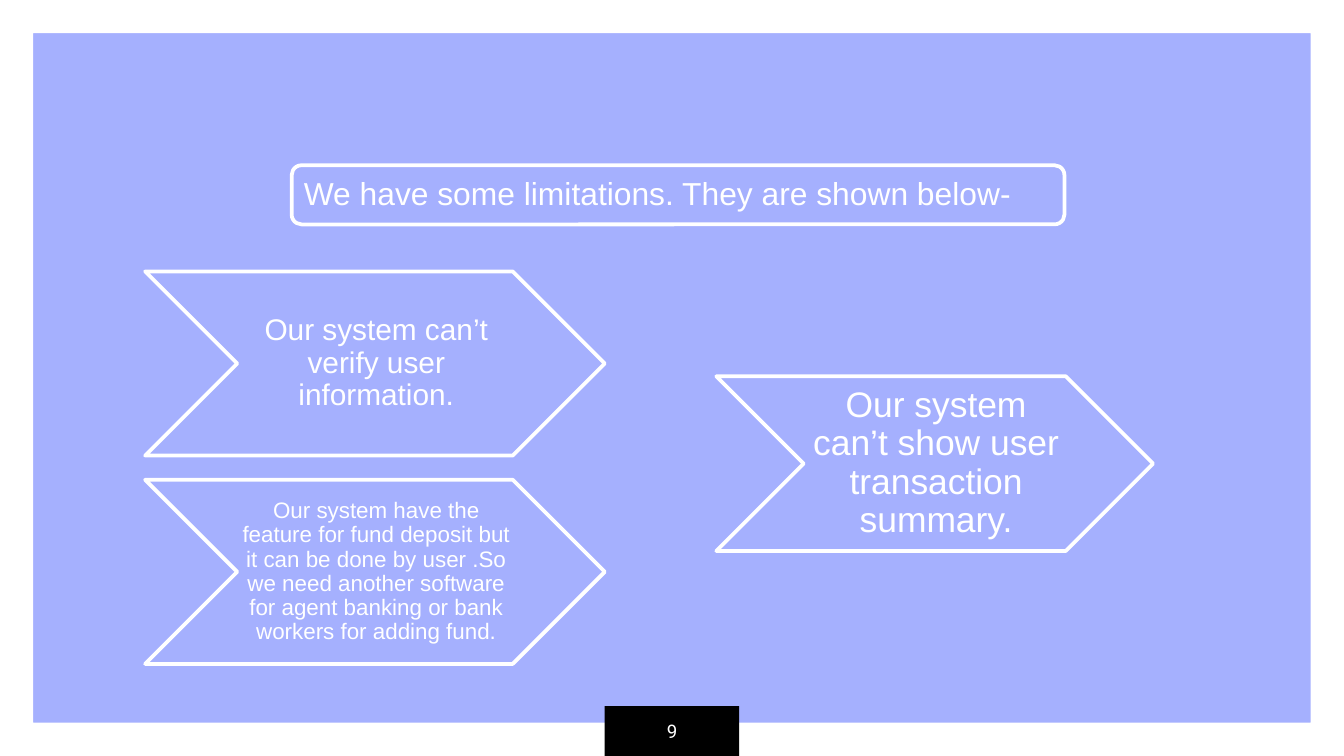
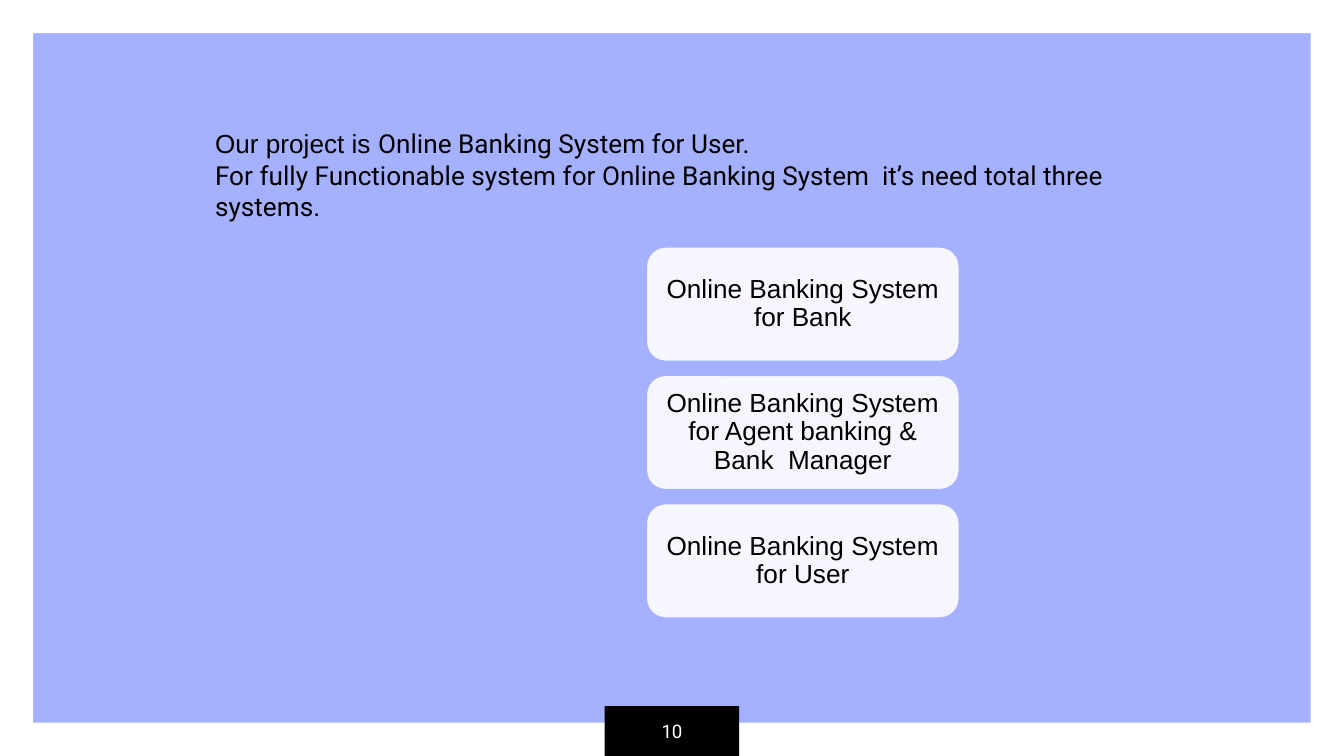
from lxml import etree
from pptx import Presentation
from pptx.dml.color import RGBColor
from pptx.enum import shapes, text
from pptx.oxml import ns
from pptx.util import Inches, Pt

WIDTH = 10
HEIGHT = WIDTH * 9 / 16
LAVENDER, WHITE, BLACK = "A5B0FE", "FFFFFF", "000000"
SANS, ROBOTO = "Arial", "Roboto"
SHAPE = shapes.MSO_SHAPE
LEFT, CENTER = text.PP_ALIGN.LEFT, text.PP_ALIGN.CENTER
TOP, MIDDLE = text.MSO_ANCHOR.TOP, text.MSO_ANCHOR.MIDDLE


def rgb(color):
    return RGBColor.from_string(color)


# Shared helpers
def add_block(s, kind, box, fill, line=None, weight=2, alpha=None):
    sp = s.shapes.add_shape(kind, *map(Inches, box))
    sp.shadow.inherit = False
    sp.fill.solid()
    sp.fill.fore_color.rgb = rgb(fill)
    if alpha is not None:
        color = sp.element.spPr.find(ns.qn("a:solidFill"))[0]
        etree.SubElement(color, ns.qn("a:alpha"), val=str(alpha * 1000))
    if line:
        sp.line.color.rgb = rgb(line)
        sp.line.width = Pt(weight)
    else:
        sp.line.fill.background()
    return sp


def write(sp, paragraphs, size, color, align=CENTER, anchor=MIDDLE,
          insets=(0.1, 0.05, 0.1, 0.05), spacing=0.9):
    """Fill a shape; each paragraph is a list of (text, font) runs."""
    tf = sp.text_frame
    tf.word_wrap = True
    tf.auto_size = text.MSO_AUTO_SIZE.NONE
    tf.vertical_anchor = anchor
    (tf.margin_left, tf.margin_top,
     tf.margin_right, tf.margin_bottom) = map(Inches, insets)
    for i, runs in enumerate(paragraphs):
        p = tf.add_paragraph() if i else tf.paragraphs[0]
        p.alignment = align
        p.line_spacing = spacing
        for words, font in runs:
            r = p.add_run()
            r.text = words
            r.font.name = font
            r.font.size = Pt(size)
            r.font.color.rgb = rgb(color)


def place_title(s, box):
    """Move the title to the box and bring it in front of the shapes."""
    sp = s.shapes.title
    sp.left, sp.top, sp.width, sp.height = map(Inches, box)
    sp.element.getparent().append(sp.element)
    return sp


def add_slide(prs, number):
    s = prs.slides.add_slide(prs.slide_layouts.get_by_name("Title Only"))
    frame = add_block(s, SHAPE.FRAME, (0, 0, WIDTH, HEIGHT), WHITE)
    frame.adjustments[0] = 0.044
    tab_w, tab_h = 1, 0.37
    tab = add_block(s, SHAPE.RECTANGLE,
                    ((WIDTH - tab_w) / 2, HEIGHT - tab_h, tab_w, tab_h), BLACK)
    write(tab, [[(str(number), ROBOTO)]], 10, WHITE,
          insets=(0.1,) * 4, spacing=1)
    return s


# Limitations slide
def add_banner(s, box, words):
    x, y, w, h = box
    add_block(s, SHAPE.ROUNDED_RECTANGLE, box, LAVENDER, WHITE)
    pad = 0.02
    title = place_title(s, (x + pad, y + pad, w - 2 * pad, h - 2 * pad))
    write(title, [[(words, SANS)]], 17, WHITE, LEFT, insets=(0.07,) * 4)


def add_chevrons(s, box, gap, items):
    """Stack chevrons of equal height in the box."""
    x, y, w, h = box
    item_h = (h - gap * (len(items) - 1)) / len(items)
    for i, (words, size) in enumerate(items):
        sp = add_block(s, SHAPE.CHEVRON,
                       (x, y + i * (item_h + gap), w, item_h), LAVENDER, WHITE)
        write(sp, [[(words, SANS)]], size, WHITE,
              insets=(0.02, 0.01, 0, 0.01))


def limitations_slide(prs):
    s = add_slide(prs, 9)
    add_chevrons(s, (1.08, 2.02, 3.42, 2.92), 0.18, [
        ("Our system can’t verify user information.", 16),
        ("Our system have the feature for fund deposit but it can be done "
         "by user .So we need another software for agent banking or bank "
         "workers for adding fund.", 12),
    ])
    add_chevrons(s, (5.33, 2.8, 3.25, 1.3), 0, [
        ("Our system can’t show user transaction summary.", 19),
    ])
    add_banner(s, (2.17, 1.23, 5.75, 0.44),
               "We have some limitations. They are shown below-")


# Required systems slide
def add_pyramid(s, box, labels):
    """Triangle with a stack of labels on its right half."""
    x, y, w, h = box
    add_block(s, SHAPE.ISOSCELES_TRIANGLE, box, LAVENDER)
    label_w, label_h, stack_h = w * 0.65, 0.85, 2.76
    pitch = (stack_h - label_h) / (len(labels) - 1)
    for i, words in enumerate(labels):
        sp = add_block(s, SHAPE.ROUNDED_RECTANGLE,
                       (x + w / 2, y + h / 10 + i * pitch, label_w, label_h),
                       WHITE, LAVENDER, 0.75, alpha=90)
        write(sp, [[(words, SANS)]], 14, BLACK, insets=(0.06,) * 4)


def systems_slide(prs):
    s = add_slide(prs, 10)
    write(place_title(s, (1.5, 0.9, 7.56, 0.81)), [
        [("Our project is ", SANS),
         ("Online Banking System for User.", ROBOTO)],
        [("For fully Functionable system for Online Banking System  "
          "it’s need total three systems.", ROBOTO)],
    ], 14, BLACK, LEFT, TOP, spacing=1)
    add_pyramid(s, (3.02, 1.48, 3.58, 3.58), [
        "Online Banking System for Bank",
        "Online Banking System for Agent banking & Bank  Manager",
        "Online Banking System for User",
    ])


def main():
    prs = Presentation()
    prs.slide_width, prs.slide_height = Inches(WIDTH), Inches(HEIGHT)
    background = prs.slide_master.background.fill
    background.solid()
    background.fore_color.rgb = rgb(LAVENDER)
    limitations_slide(prs)
    systems_slide(prs)
    prs.save("out.pptx")


if __name__ == "__main__":
    main()
